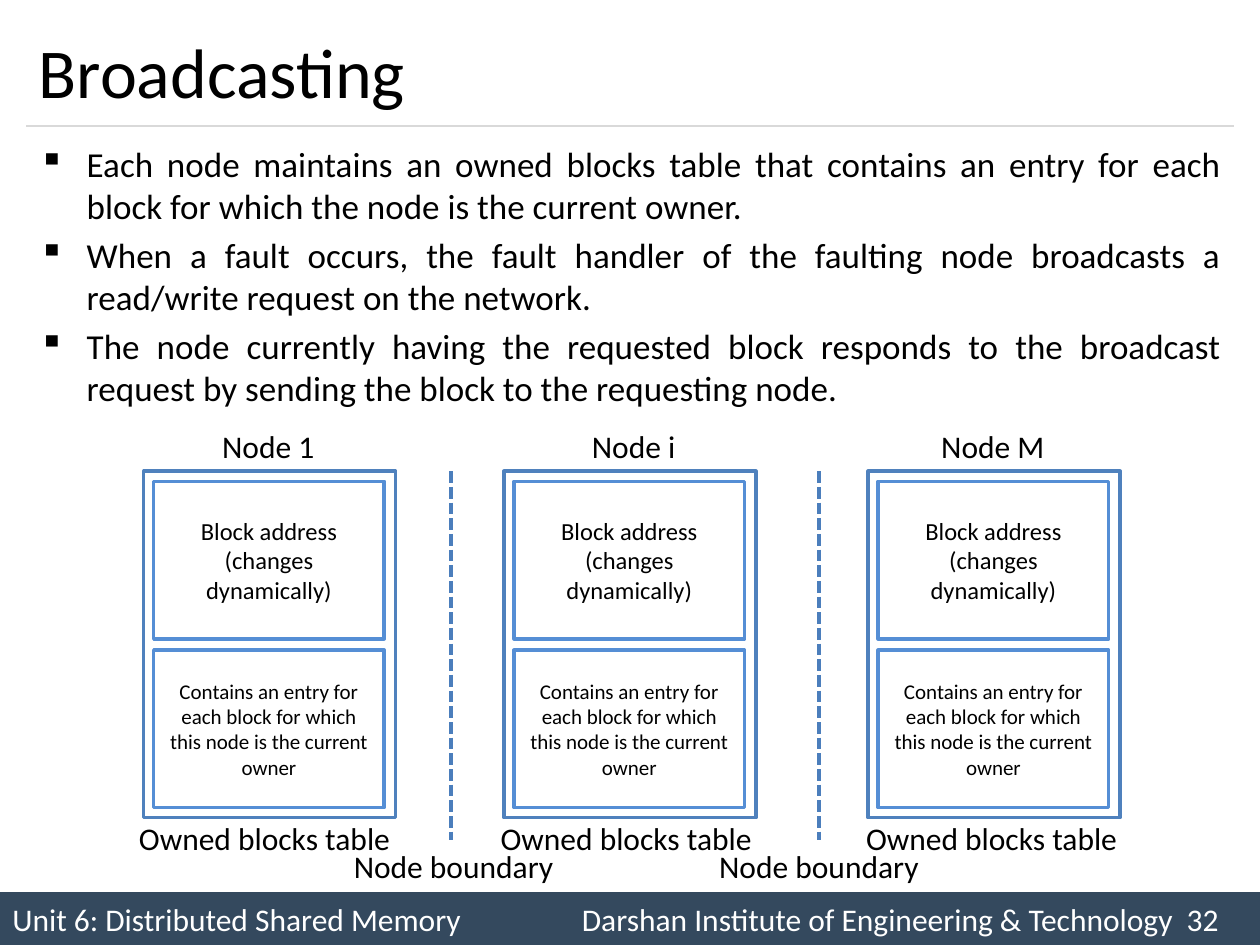
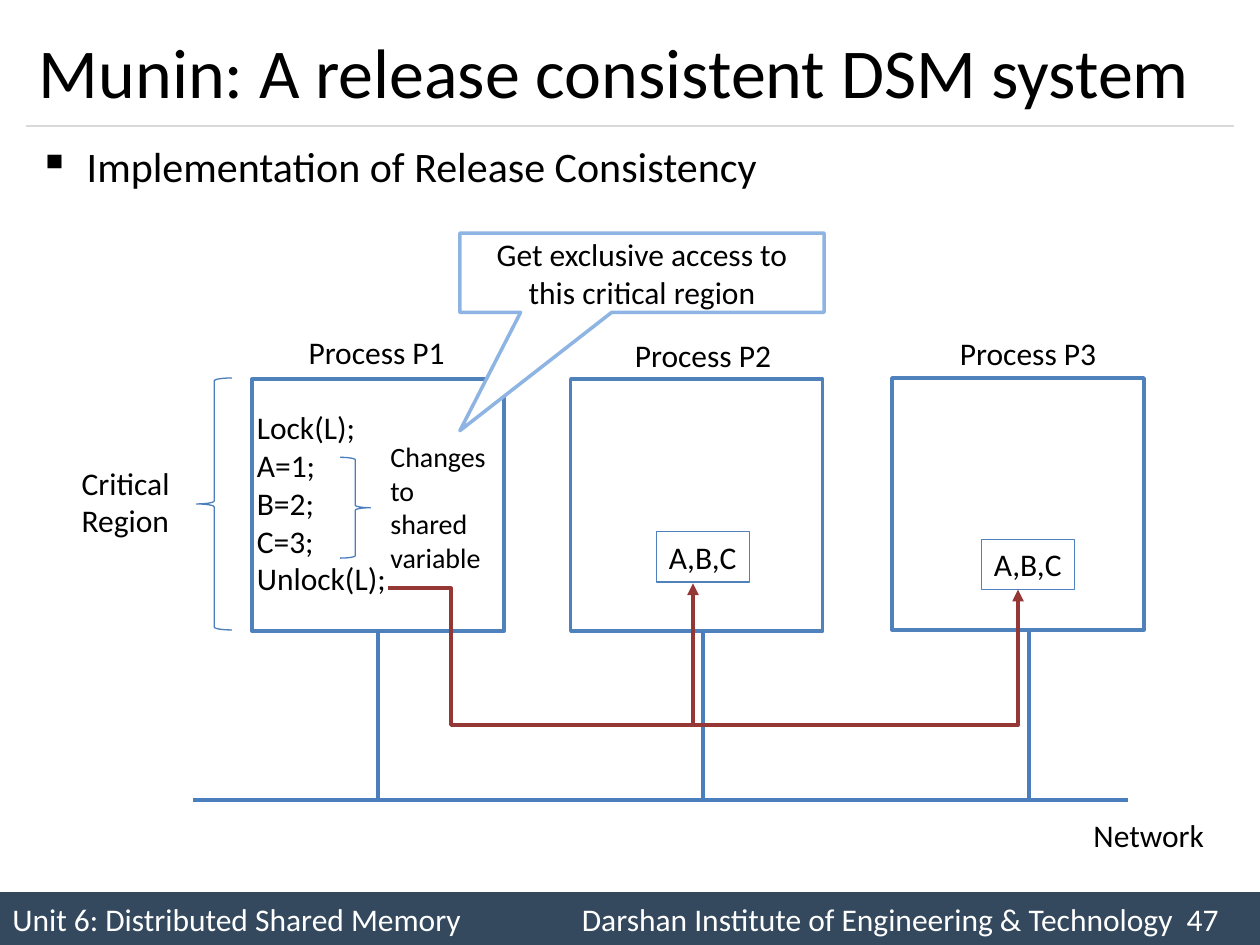
"""Build two slides on distributed shared memory."""
from dataclasses import dataclass
from typing import Optional

from lxml import etree
from pptx import Presentation
from pptx.dml.color import RGBColor
from pptx.enum.dml import MSO_LINE
from pptx.enum.shapes import MSO_CONNECTOR, MSO_SHAPE
from pptx.enum.text import MSO_ANCHOR, PP_ALIGN
from pptx.oxml.ns import qn
from pptx.util import Inches, Pt

RECT = MSO_SHAPE.RECTANGLE
CALLOUT = MSO_SHAPE.RECTANGULAR_CALLOUT
LEFT_BRACE, RIGHT_BRACE = MSO_SHAPE.LEFT_BRACE, MSO_SHAPE.RIGHT_BRACE
STRAIGHT, ELBOW = MSO_CONNECTOR.STRAIGHT, MSO_CONNECTOR.ELBOW
DASHED = MSO_LINE.SQUARE_DOT
LEFT, CENTER, JUSTIFY = PP_ALIGN.LEFT, PP_ALIGN.CENTER, PP_ALIGN.JUSTIFY
TOP, MIDDLE = MSO_ANCHOR.TOP, MSO_ANCHOR.MIDDLE

FONT = "Calibri"
BLACK = RGBColor(0x00, 0x00, 0x00)
WHITE = RGBColor(0xFF, 0xFF, 0xFF)
BAND = RGBColor(0x34, 0x49, 0x5E)
RULE = RGBColor(0xD9, 0xD9, 0xD9)
OUTLINE = RGBColor(0x4F, 0x81, 0xBD)
INNER = RGBColor(0x55, 0x8E, 0xD5)
CALLOUT_LINE = RGBColor(0x8E, 0xB4, 0xE3)
WIRE = RGBColor(0x4B, 0x7E, 0xBC)
UPDATE = RGBColor(0x95, 0x37, 0x35)

UNIT = "Unit 6: Distributed Shared Memory"
INSTITUTE = "Darshan Institute of Engineering & Technology"
FOOTER_TABS = (4.52, 9.32)


@dataclass(frozen=True)
class Node:
    """A node with its owned blocks table."""
    name: str
    left: float
    name_center: float
    caption_center: float


@dataclass(frozen=True)
class Process:
    """A process box, its name and its link to the network."""
    name: str
    left: float
    top: float
    name_left: float
    name_top: float
    link_x: float
    copy_at: Optional[tuple[float, float]] = None


NODES = (
    Node("Node 1", 1.14, 2.13, 2.1),
    Node("Node i", 4.0, 5.03, 4.97),
    Node("Node M", 6.89, 7.88, 7.87),
)
BOUNDARIES = ((3.58, 3.6), (6.5, 6.5))
PROCESSES = (
    Process("Process P1", 2.0, 3.01, 2.35, 2.59, 3.0),
    Process("Process P2", 4.53, 3.01, 4.94, 2.62, 5.58, (5.21, 4.22)),
    Process("Process P3", 7.08, 3.0, 7.52, 2.6, 8.17, (7.79, 4.28)),
)


def write(shape, lines, size=18, color=BLACK, align=LEFT, anchor=TOP,
          wrap=True, bullet=False, gap=0, tabs=()):
    """Fill a shape with one paragraph per line."""
    frame = shape.text_frame
    frame.word_wrap = wrap
    frame.vertical_anchor = anchor
    for index, line in enumerate(lines):
        paragraph = frame.paragraphs[0] if index == 0 else frame.add_paragraph()
        properties = paragraph._p.get_or_add_pPr()
        if bullet:
            properties.set("marL", str(Inches(0.38)))
            properties.set("indent", str(-Inches(0.38)))
            etree.SubElement(properties, qn("a:buChar")).set("char", "▪")
        if tabs:
            stops = etree.SubElement(properties, qn("a:tabLst"))
            for position in tabs:
                etree.SubElement(stops, qn("a:tab"), pos=str(Inches(position)), algn="l")
        paragraph.alignment = align
        if index and gap:
            paragraph.space_before = Pt(gap)
        run = paragraph.add_run()
        run.text = line
        run.font.name = FONT
        run.font.size = Pt(size)
        run.font.color.rgb = color


def add_text(slide, left: float, top: float, width: float, height: float, lines, **style):
    """Add a text box."""
    box = slide.shapes.add_textbox(Inches(left), Inches(top), Inches(width), Inches(height))
    write(box, lines, **style)


def add_box(slide, left: float, top: float, width: float, height: float,
            kind=RECT, fill=None, line=None, weight: float = 2):
    """Add a preset shape with plain fill and line."""
    shape = slide.shapes.add_shape(
        kind, Inches(left), Inches(top), Inches(width), Inches(height))
    shape.shadow.inherit = False
    if fill is None:
        shape.fill.background()
    else:
        shape.fill.solid()
        shape.fill.fore_color.rgb = fill
    if line is None:
        shape.line.fill.background()
    else:
        shape.line.color.rgb = line
        shape.line.width = Pt(weight)
    return shape


def add_line(slide, start: tuple[float, float], end: tuple[float, float], color=WIRE,
             weight: float = 2.25, dash=None, arrow: bool = False, kind=STRAIGHT):
    """Add a connector, with an arrowhead at its end if asked."""
    connector = slide.shapes.add_connector(kind, *(Inches(v) for v in start + end))
    connector.line.color.rgb = color
    connector.line.width = Pt(weight)
    if dash is not None:
        connector.line.dash_style = dash
    if arrow:
        etree.SubElement(connector.line._get_or_add_ln(), qn("a:tailEnd"), type="triangle")
    etree.SubElement(connector._element.spPr, qn("a:effectLst"))
    return connector


def add_detour(slide, start: tuple[float, float], end: tuple[float, float],
               turn_x: float, low_y: float):
    """Add an elbow arrow that drops to low_y before it rises to its end."""
    connector = add_line(slide, start, end, UPDATE, arrow=True, kind=ELBOW)
    geometry = connector._element.spPr.find(qn("a:prstGeom"))
    geometry.set("prst", "bentConnector4")
    guides = geometry.find(qn("a:avLst"))
    if guides is None:
        guides = etree.SubElement(geometry, qn("a:avLst"))
    ratios = ((turn_x - start[0]) / (end[0] - start[0]),
              (low_y - start[1]) / (end[1] - start[1]))
    for number, ratio in enumerate(ratios, 1):
        etree.SubElement(guides, qn("a:gd"), name=f"adj{number}",
                         fmla=f"val {round(ratio * 100000)}")


def add_page(deck, title: str, number: int):
    """Add a slide with the shared title, rule and footer band."""
    slide = deck.slides.add_slide(deck.slide_layouts[6])
    footer = add_box(slide, 0, 7.08, 10, 0.42, fill=BAND)
    write(footer, [f"{UNIT}\t{INSTITUTE}\t{number}"], color=WHITE, anchor=MIDDLE,
          tabs=FOOTER_TABS)
    add_line(slide, (0.21, 1), (9.79, 1), RULE, 0.75)
    add_text(slide, 0.21, 0.12, 9.58, 0.88, [title], size=40, align=JUSTIFY, anchor=MIDDLE)
    return slide


def add_label(slide, center: float, top: float, width: float, words: str):
    """Add a one-line label around a centre."""
    add_text(slide, center - width / 2, top, width, 0.4, [words], align=CENTER, wrap=False)


def add_node(slide, node: Node):
    """Draw a node with its two table cells and labels."""
    add_box(slide, node.left, 3.74, 2, 2.75, fill=WHITE, line=OUTLINE)
    cells = (
        (3.82, 14, ["Block address", "(changes dynamically)"]),
        (5.16, 12, ["Contains an entry for", "each block for which",
                    "this node is the current", "owner"]),
    )
    for top, size, lines in cells:
        cell = add_box(slide, node.left + 0.08, top, 1.83, 1.25, fill=WHITE, line=INNER)
        write(cell, lines, size=size, align=CENTER, anchor=MIDDLE)
    add_label(slide, node.name_center, 3.34, 1.2, node.name)
    add_label(slide, node.caption_center, 6.45, 2.3, "Owned blocks table")


def build_broadcasting(deck):
    """Build the slide on broadcasting."""
    slide = add_page(deck, "Broadcasting", 32)
    add_text(slide, 0.21, 1.08, 9.58, 2.25, [
        "Each node maintains an owned blocks table that contains an entry for each "
        "block for which the node is the current owner.",
        "When a fault occurs, the fault handler of the faulting node broadcasts a "
        "read/write request on the network.",
        "The node currently having the requested block responds to the broadcast "
        "request by sending the block to the requesting node.",
    ], size=20, align=JUSTIFY, bullet=True, gap=4)
    for node in NODES:
        add_node(slide, node)
    for x, caption_center in BOUNDARIES:
        add_line(slide, (x, 3.74), (x, 6.67), dash=DASHED)
        add_label(slide, caption_center, 6.67, 1.9, "Node boundary")


def build_munin(deck):
    """Build the slide on release consistency in Munin."""
    slide = add_page(deck, "Munin: A release consistent DSM system", 47)
    add_text(slide, 0.21, 1.07, 9.58, 0.5, ["Implementation of Release Consistency"],
             size=24, align=JUSTIFY, bullet=True)
    for process in PROCESSES:
        add_box(slide, process.left, process.top, 2, 2, fill=WHITE, line=OUTLINE)
        add_text(slide, process.name_left, process.name_top, 1.29, 0.4, [process.name],
                 wrap=False)
        add_line(slide, (process.link_x, 5.01), (process.link_x, 6.35))
        if process.copy_at:
            shared = add_box(slide, *process.copy_at, 0.74, 0.4, line=OUTLINE, weight=0.75)
            write(shared, ["A,B,C"], wrap=False)
    add_line(slide, (1.53, 6.35), (8.95, 6.35))
    add_text(slide, 8.58, 6.43, 1.09, 0.4, ["Network"], wrap=False)

    add_box(slide, 1.56, 3, 0.28, 2, LEFT_BRACE, line=WIRE, weight=0.75)
    add_text(slide, 0.55, 3.63, 0.91, 0.71, ["Critical", "Region"], wrap=False)
    access = add_box(slide, 3.65, 1.85, 2.89, 0.63, CALLOUT, WHITE, CALLOUT_LINE)
    access.adjustments[0] = -0.5
    access.adjustments[1] = 1.99
    write(access, ["Get exclusive access to this critical region"],
          align=CENTER, anchor=MIDDLE)

    add_box(slide, 2.7, 3.63, 0.24, 0.8, RIGHT_BRACE, line=WIRE, weight=0.75)
    add_text(slide, 3, 3.44, 1.11, 1.18, ["Changes to", "shared", "variable"], size=16)
    add_detour(slide, (3.08, 4.67), (8.08, 4.68), turn_x=3.58, low_y=5.77)
    add_line(slide, (5.5, 5.76), (5.5, 4.63), UPDATE, arrow=True)
    add_text(slide, 1.94, 3.19, 1.35, 1.62,
             ["Lock(L);", "A=1;", "B=2;", "C=3;", "Unlock(L);"])


def main():
    """Build and save the deck."""
    deck = Presentation()
    deck.slide_width, deck.slide_height = Inches(10), Inches(7.5)
    build_broadcasting(deck)
    build_munin(deck)
    deck.save("out.pptx")


if __name__ == "__main__":
    main()
